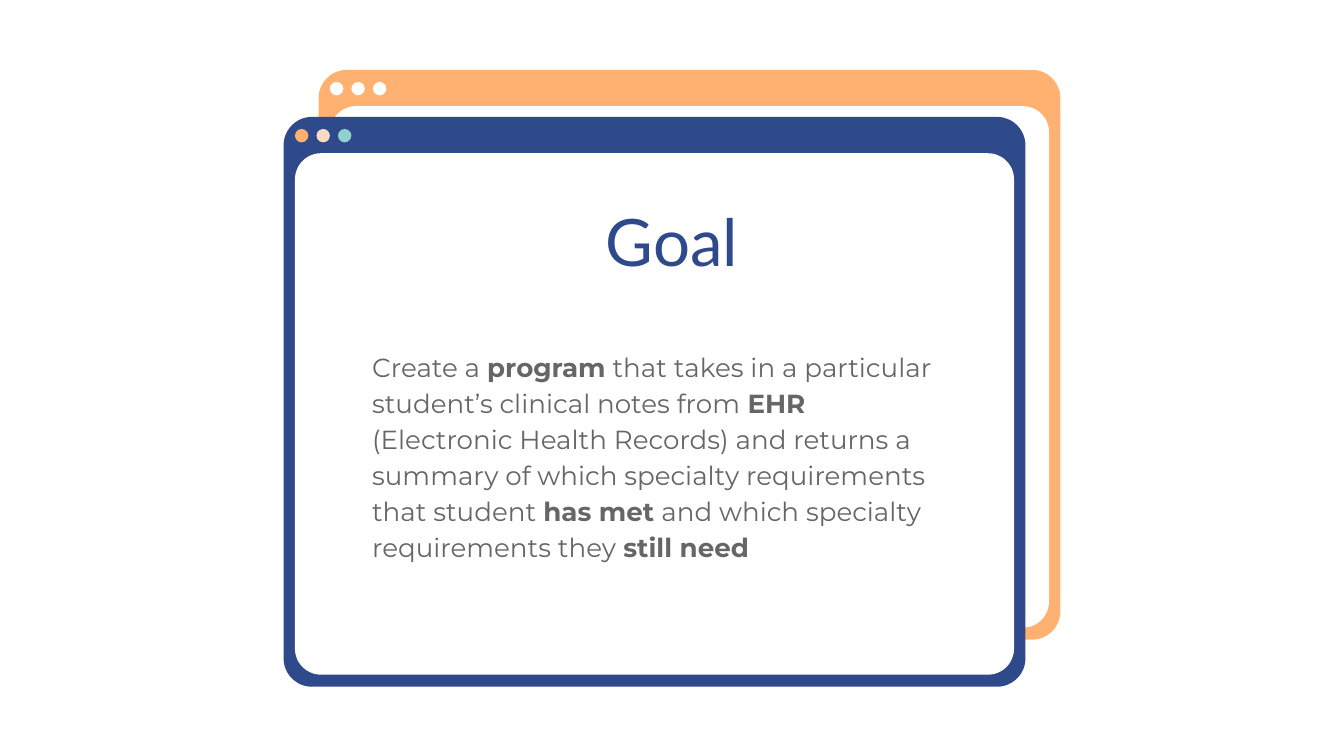
from pptx import Presentation
from pptx.dml.color import RGBColor
from pptx.enum.shapes import MSO_SHAPE as Shape
from pptx.enum.text import MSO_ANCHOR as Anchor, PP_ALIGN as Align
from pptx.util import Inches, Pt

NAVY, ORANGE, WHITE, GREY = "2F4A8A", "FFB172", "FFFFFF", "666666"

# Content: (text, bold) runs
TITLE = [("Goal", False)]
GOAL = [
    ("Create a ", False),
    ("program", True),
    (" that takes in a particular student’s clinical notes from ", False),
    ("EHR", True),
    (" (Electronic Health Records) and returns a summary of which specialty"
     " requirements that student ", False),
    ("has met", True),
    (" and which specialty requirements they ", False),
    ("still need", True),
]

# Browser windows, back to front: left, top, frame colour, button colours
WINDOWS = [
    (2.37, 0.52, ORANGE, [WHITE, WHITE, WHITE]),
    (2.11, 0.87, NAVY, [ORANGE, "F8DBC4", "90D1CB"]),
]
SLIDE_W = 10
SLIDE_H = SLIDE_W * 9 / 16
FRAME_W, FRAME_H = 5.52, 4.24
PAGE_W, PAGE_H = 5.35, 3.88
BORDER, BAR_H = (FRAME_W - PAGE_W) / 2, 0.27
BUTTON, BUTTON_TOP, BUTTON_STEP = 0.1, 0.09, 0.16


def rgb(color):
    return RGBColor.from_string(color)


def add_filled(kind, left, top, width, height, color, corner=None):
    shape = slide.shapes.add_shape(
        kind, Inches(left), Inches(top), Inches(width), Inches(height))
    shape.shadow.inherit = False
    shape.fill.solid()
    shape.fill.fore_color.rgb = rgb(color)
    shape.line.fill.background()
    if corner is not None:
        shape.adjustments[0] = corner


def add_text(runs, left, top, width, height, *, font, size, color,
             align=Align.LEFT, spacing=1.0):
    frame = slide.shapes.add_textbox(
        Inches(left), Inches(top), Inches(width), Inches(height)).text_frame
    frame.word_wrap = True
    frame.vertical_anchor = Anchor.TOP
    frame.margin_left = frame.margin_right = Inches(0.1)
    frame.margin_top = frame.margin_bottom = Inches(0.1)
    paragraph = frame.paragraphs[0]
    paragraph.alignment = align
    paragraph.line_spacing = spacing
    for words, bold in runs:
        run = paragraph.add_run()
        run.text = words
        run.font.name = font
        run.font.size = Pt(size)
        run.font.bold = bold
        run.font.color.rgb = rgb(color)


prs = Presentation()
prs.slide_width, prs.slide_height = Inches(SLIDE_W), Inches(SLIDE_H)
slide = prs.slides.add_slide(prs.slide_layouts[6])
slide.background.fill.solid()
slide.background.fill.fore_color.rgb = rgb(WHITE)

# Windows: frame, page, and the buttons in the title bar
for left, top, frame_color, button_colors in WINDOWS:
    add_filled(Shape.ROUNDED_RECTANGLE, left, top, FRAME_W, FRAME_H,
               frame_color, corner=0.05)
    add_filled(Shape.ROUNDED_RECTANGLE, left + BORDER, top + BAR_H,
               PAGE_W, PAGE_H, WHITE, corner=0.05)
    for i, button_color in enumerate(button_colors):
        add_filled(Shape.OVAL, left + BORDER + i * BUTTON_STEP,
                   top + BUTTON_TOP, BUTTON, BUTTON, button_color)

# Goal statement and title
add_text(GOAL, 2.67, 2.48, 4.41, 1.97, font="Montserrat", size=14,
         color=GREY, spacing=1.15)
add_text(TITLE, 2.68, 1.4, 4.64, 0.93, font="Lato", size=35,
         color=NAVY, align=Align.CENTER)

prs.save("out.pptx")
